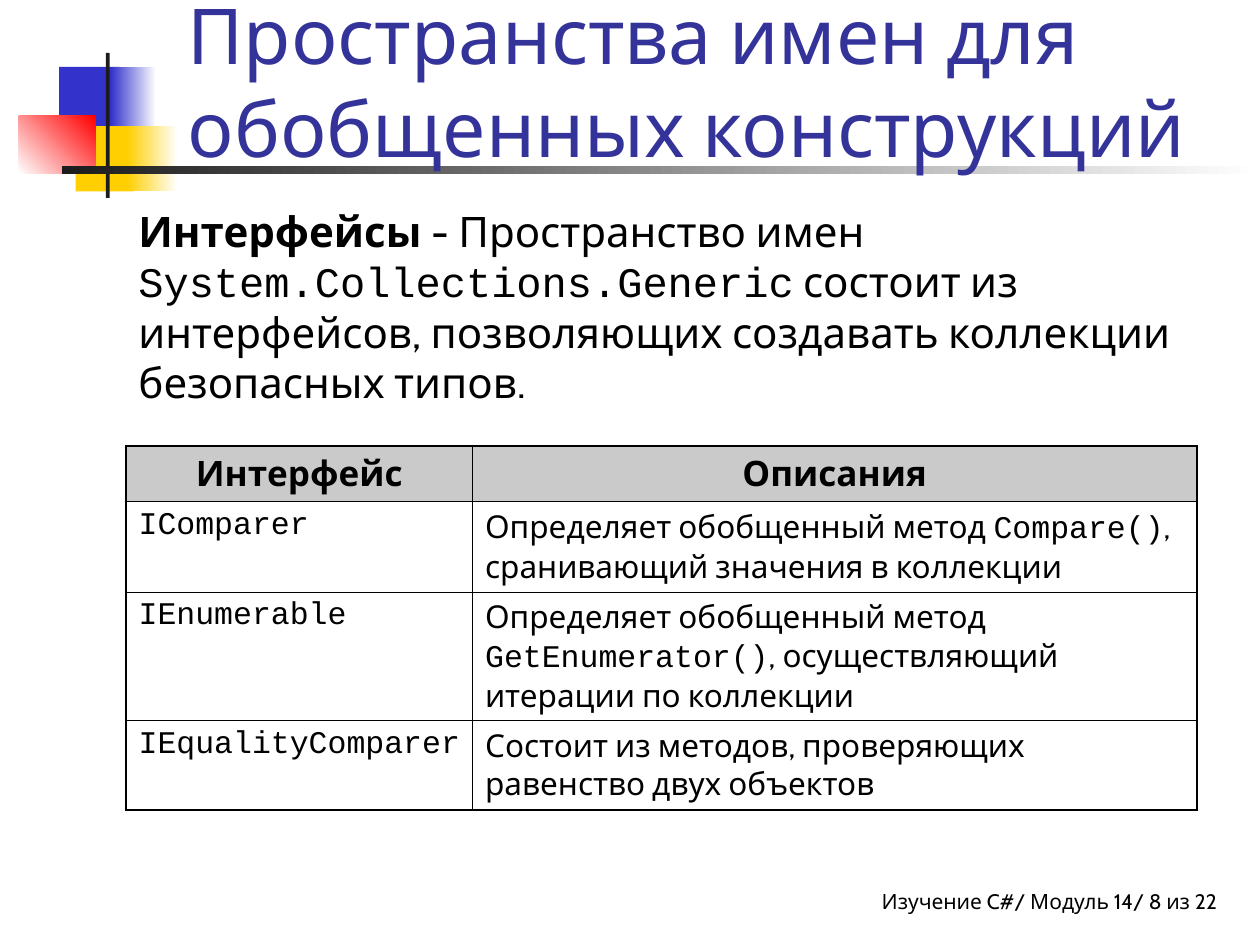
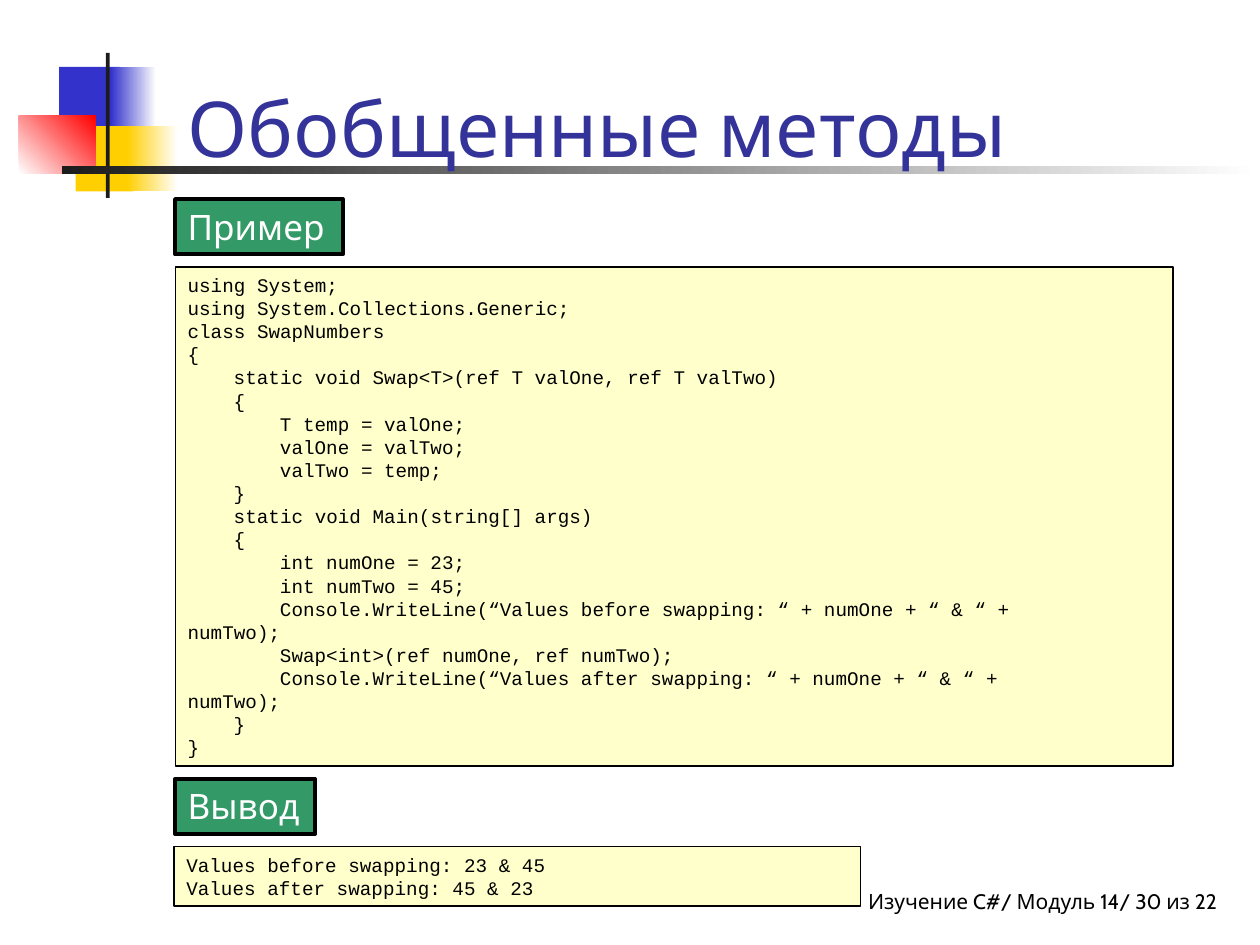
from dataclasses import dataclass

from lxml import etree
from pptx import Presentation
from pptx import util as u
from pptx.dml.color import RGBColor
from pptx.enum import shapes, text
from pptx.oxml import ns


@dataclass(frozen=True)
class Theme:
    """Colours, fonts and type sizes shared by the slides."""
    sans: str = "Cabin"
    mono: str = "Courier New"
    black: str = "000000"
    white: str = "FFFFFF"
    title: str = "333399"
    blue: str = "3333CC"
    yellow: str = "FFCF01"
    red: str = "FF0000"
    bar: str = "1C1C1C"
    label: str = "339966"
    code: str = "FFFFCC"
    header: str = "969696"
    title_pt: float = 44
    body_pt: float = 24
    head_pt: float = 20
    cell_pt: float = 18
    footer_pt: float = 12
    code_pt: float = 11
    outer_pt: float = 1.08
    inner_pt: float = 0.45


T = Theme()

# (left, top, width, height), colours, gradient angle
DECOR = [
    ((0.47, 0.53, 0.48, 0.52), [T.blue], 0),
    ((0.88, 0.53, 0.36, 0.52), [T.blue, T.white], 0),
    ((0.6, 1, 0.46, 0.52), [T.yellow], 0),
    ((1.01, 1, 0.4, 0.52), [T.yellow, T.white], 0),
    ((0.15, 0.92, 0.61, 0.46), [T.white, T.red], 45),
    ((0.84, 0.42, 0.03, 1.15), [T.bar], 0),
    ((0.49, 1.32, 9.51, 0.06), [T.bar, T.white], 0),
]

# Runs are (text, style): "" plain, "b" bold, "m" monospaced
INTRO = [
    ("Интерфейсы", "b"),
    (" - Пространство имен ", ""),
    ("System.Collections.Generic", "m"),
    (" состоит из интерфейсов, позволяющих создавать коллекции "
     "безопасных типов.", ""),
]
COLUMNS = [2.75, 5.75]
ROW_HEIGHTS = [0.44, 0.72, 1.02, 0.71]
NAME_MARGIN = 0.05  # narrow right margin keeps the longest name on one line
INTERFACES = [
    [[("Интерфейс", "b")], [("Описания", "b")]],
    [[("IComparer", "m")],
     [("Определяет обобщенный метод ", ""), ("Compare()", "m"),
      (", сранивающий значения в коллекции", "")]],
    [[("IEnumerable", "m")],
     [("Определяет обобщенный метод ", ""), ("GetEnumerator()", "m"),
      (", осуществляющий итерации по коллекции", "")]],
    [[("IEqualityComparer", "m")],
     [("Состоит из методов, проверяющих равенство двух объектов", "")]],
]

# (nesting level, code line)
SWAP_CODE = [
    (0, "using System;"),
    (0, "using System.Collections.Generic;"),
    (0, "class SwapNumbers"),
    (0, "{"),
    (1, "static void Swap<T>(ref T valOne, ref T valTwo)"),
    (1, "{"),
    (2, "T temp = valOne;"),
    (2, "valOne = valTwo;"),
    (2, "valTwo = temp;"),
    (1, "}"),
    (1, "static void Main(string[] args)"),
    (1, "{"),
    (2, "int numOne = 23;"),
    (2, "int numTwo = 45;"),
    (2, "Console.WriteLine(“Values before swapping: “ + numOne + “ & “ + \tnumTwo);"),
    (2, "Swap<int>(ref numOne, ref numTwo);"),
    (2, "Console.WriteLine(“Values after swapping: “ + numOne + “ & “ + \tnumTwo);"),
    (1, "}"),
    (0, "}"),
]
SWAP_OUTPUT = [
    (0, "Values before swapping: 23 & 45"),
    (0, "Values after swapping: 45 & 23"),
]
CODE_TAB = 1.07
CODE_INDENT = u.Pt(4 * 0.6 * T.code_pt)  # four monospaced characters


def rgb(color):
    """Turn a hex string into a colour."""
    return RGBColor.from_string(color)


def box(at):
    """Turn inches into a position and size."""
    return [u.Inches(v) for v in at]


def set_font(p, size, color=T.black, name=T.sans):
    """Set the font of a whole paragraph."""
    p.font.size = u.Pt(size)
    p.font.name = name
    p.font.color.rgb = rgb(color)


def add_runs(p, runs, size):
    """Fill a paragraph with plain, bold and monospaced runs."""
    set_font(p, size, name=T.mono if runs[0][1] == "m" else T.sans)
    for words, style in runs:
        r = p.add_run()
        r.text = words
        if len(runs) > 1:
            r.font.name = T.mono if style == "m" else T.sans
        if style == "b":
            r.font.bold = True


def add_text(slide, at):
    """Add a wrapping text box and return its text frame."""
    tf = slide.shapes.add_textbox(*box(at)).text_frame
    tf.word_wrap = True
    return tf


def add_rect(slide, at, colors, angle=0, line=None):
    """Add a rectangle with a solid or gradient fill."""
    sp = slide.shapes.add_shape(shapes.MSO_SHAPE.RECTANGLE, *box(at))
    sp.shadow.inherit = False
    if len(colors) == 1:
        sp.fill.solid()
        sp.fill.fore_color.rgb = rgb(colors[0])
    else:
        sp.fill.gradient()
        sp.fill.gradient_angle = angle
        for stop, color in zip(sp.fill.gradient_stops, colors):
            stop.color.rgb = rgb(color)
    if line:
        sp.line.color.rgb = rgb(T.black)
        sp.line.width = u.Pt(line)
    else:
        sp.line.fill.background()
    return sp


def add_panel(slide, at, color, line):
    """Add an outlined rectangle and return its text frame."""
    tf = add_rect(slide, at, [color], line=line).text_frame
    tf.word_wrap = True
    tf.auto_size = text.MSO_AUTO_SIZE.SHAPE_TO_FIT_TEXT
    tf.vertical_anchor = text.MSO_ANCHOR.TOP
    return tf


def add_label(slide, at, words):
    """Add a green section label."""
    p = add_panel(slide, at, T.label, 2.24).paragraphs[0]
    p.text = words
    p.alignment = text.PP_ALIGN.LEFT
    set_font(p, T.head_pt, T.white)


def add_code(slide, at, lines):
    """Add a yellow panel of code, indented by nesting level."""
    tf = add_panel(slide, at, T.code, 0.74)
    for i, (level, line) in enumerate(lines):
        p = tf.add_paragraph() if i else tf.paragraphs[0]
        p.text = line
        p.alignment = text.PP_ALIGN.LEFT
        pr = p._p.get_or_add_pPr()
        pr.set("marL", "0")
        pr.set("indent", str(level * CODE_INDENT))
        tabs = etree.SubElement(pr, ns.qn("a:tabLst"))
        for n in range(8):
            etree.SubElement(tabs, ns.qn("a:tab"),
                             pos=str(u.Inches(n * CODE_TAB)), algn="l")
        set_font(p, T.code_pt, name=T.mono)


def set_borders(cell, widths):
    """Draw the left, right, top and bottom borders of a cell."""
    pr = cell._tc.get_or_add_tcPr()
    for i, (side, width) in enumerate(zip("LRTB", widths)):
        ln = etree.Element(ns.qn("a:ln" + side), w=str(u.Pt(width)))
        fill = etree.SubElement(ln, ns.qn("a:solidFill"))
        etree.SubElement(fill, ns.qn("a:srgbClr"), val=T.black)
        pr.insert(i, ln)


def add_table(slide, left, top, rows):
    """Add the bordered table with a half-transparent grey header."""
    n_rows, n_cols = len(rows), len(COLUMNS)
    at = (left, top, sum(COLUMNS), sum(ROW_HEIGHTS))
    table = slide.shapes.add_table(n_rows, n_cols, *box(at)).table
    for column, width in zip(table.columns, COLUMNS):
        column.width = u.Inches(width)
    for i, row in enumerate(rows):
        table.rows[i].height = u.Inches(ROW_HEIGHTS[i])
        for j, runs in enumerate(row):
            cell = table.cell(i, j)
            size = T.cell_pt if i else T.head_pt
            p = cell.text_frame.paragraphs[0]
            p.space_before = u.Pt(size / 4)
            add_runs(p, runs, size)
            if i:
                cell.fill.background()
                if j == 0:
                    cell.margin_right = u.Inches(NAME_MARGIN)
            else:
                p.alignment = text.PP_ALIGN.CENTER
                cell.fill.solid()
                cell.fill.fore_color.rgb = rgb(T.header)
                clr = cell._tc.tcPr.find(".//" + ns.qn("a:srgbClr"))
                etree.SubElement(clr, ns.qn("a:alpha"), val="50000")
            edges = (j == 0, j == n_cols - 1, i == 0, i == n_rows - 1)
            set_borders(cell, [T.outer_pt if e else T.inner_pt for e in edges])


def add_slide(prs, title, number):
    """Add a slide with the shared decoration, title and footer."""
    slide = prs.slides.add_slide(prs.slide_layouts[6])
    tf = add_text(slide, (4.58, 7, 5.08, 0.33))
    tf.margin_right = 0
    p = tf.paragraphs[0]
    p.text = f"Изучение C#/ Модуль 14/ {number} из 22"
    p.alignment = text.PP_ALIGN.RIGHT
    set_font(p, T.footer_pt)
    for at, colors, angle in DECOR:
        add_rect(slide, at, colors, angle)
    tf = add_text(slide, (1.39, 0.17, 8.52, 1.25))
    tf.vertical_anchor = text.MSO_ANCHOR.BOTTOM
    tf.paragraphs[0].text = title
    set_font(tf.paragraphs[0], T.title_pt, T.title)
    return slide


def interfaces_slide(prs):
    """Build the slide on generic interfaces."""
    slide = add_slide(prs, "Пространства имен для обобщенных конструкций", 8)
    add_table(slide, 1, 3.54, INTERFACES)
    p = add_text(slide, (1, 1.58, 8.5, 1.75)).paragraphs[0]
    p.space_before = u.Pt(6)
    add_runs(p, INTRO, T.body_pt)


def methods_slide(prs):
    """Build the slide on generic methods."""
    slide = add_slide(prs, "Обобщенные методы", 30)
    add_label(slide, (1.39, 6.18, 1.11, 0.44), "Вывод")
    add_code(slide, (1.39, 2.12, 7.92, 3.96), SWAP_CODE)
    add_label(slide, (1.39, 1.58, 1.33, 0.44), "Пример")
    add_code(slide, (1.38, 6.72, 5.45, 0.47), SWAP_OUTPUT)


prs = Presentation()
prs.slide_width, prs.slide_height = u.Inches(10), u.Inches(7.5)
interfaces_slide(prs)
methods_slide(prs)
prs.save("out.pptx")
